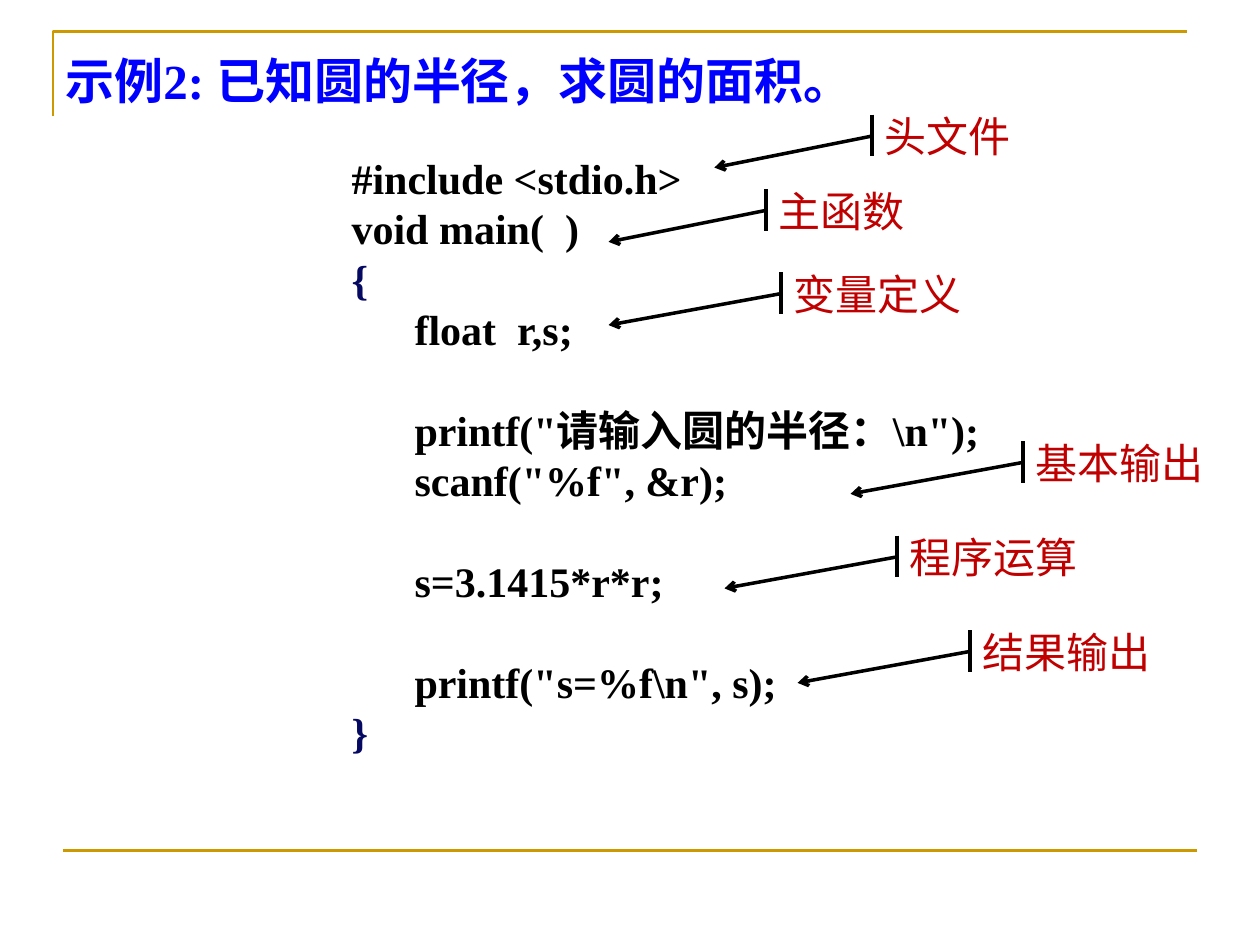
from dataclasses import dataclass

from lxml.etree import SubElement
from pptx import Presentation
from pptx.dml.color import RGBColor as RGB
from pptx.enum.shapes import MSO_CONNECTOR as Conn
from pptx.enum.text import MSO_ANCHOR as Anchor, MSO_AUTO_SIZE as AutoSize, PP_ALIGN as Align
from pptx.oxml.ns import qn
from pptx.util import Inches, Pt


@dataclass(frozen=True)
class Theme:
    rule: RGB = RGB(0xCC, 0x99, 0x00)
    title: RGB = RGB(0x00, 0x00, 0xFF)
    code: RGB = RGB(0x00, 0x00, 0x00)
    brace: RGB = RGB(0x05, 0x09, 0x61)
    label: RGB = RGB(0xC0, 0x00, 0x00)
    code_font: str = "Times New Roman"
    label_font: str = "Arial"
    title_size: float = 28
    text_size: float = 24
    line_pitch: float = 28.8
    rule_width: float = 1.5
    arrow_width: float = 2


T = Theme()

CODE = [
    ("#include <stdio.h>", 0, 0),
    ("void main(  )", 0, 0),
    ("{", 0, 0),
    ("float  r,s;", 1, 0),
    ('printf("请输入圆的半径：\\n");', 1, 1),
    ('scanf("%f", &r);', 1, 0),
    ("s=3.1415*r*r;", 1, 1),
    ('printf("s=%f\\n", s);', 1, 1),
    ("}", 0, 0),
]

CALLOUTS = [
    ("头文件", 6.92, 0.83, 5.67),
    ("主函数", 6.08, 1.42, 4.83),
    ("变量定义", 6.2, 2.08, 4.83),
    ("基本输出", 8.12, 3.42, 6.75),
    ("程序运算", 7.12, 4.17, 5.75),
    ("结果输出", 7.7, 4.92, 6.33),
]


def place(sp, left, top, width, height):
    sp.left, sp.top = Inches(left), Inches(top)
    sp.width, sp.height = Inches(width), Inches(height)


def format_runs(p, font, size, color, bold=False):
    p.alignment = Align.LEFT
    for r in p.runs:
        r.font.name = font
        r.font.size = Pt(size)
        r.font.color.rgb = color
        r.font.bold = bold


def add_line(shapes, start, end, color, width, arrow=False):
    x1, y1, x2, y2 = (Inches(v) for v in (*start, *end))
    line = shapes.add_connector(Conn.STRAIGHT, x1, y1, x2, y2)
    line.line.color.rgb = color
    line.line.width = Pt(width)
    if arrow:
        SubElement(line.line._get_or_add_ln(), qn("a:tailEnd"), type="arrow")
    SubElement(line._element.spPr, qn("a:effectLst"))


def add_frame(shapes):
    builder = shapes.build_freeform(Inches(0.42), Inches(0.92))
    builder.add_line_segments(
        [(Inches(0.42), Inches(0.25)), (Inches(9.42), Inches(0.25))], close=False)
    sp = builder.convert_to_shape()
    sp.fill.background()
    sp.line.color.rgb = T.rule
    sp.line.width = Pt(T.rule_width)
    sp.shadow.inherit = False
    add_line(shapes, (0.5, 6.75), (9.5, 6.75), T.rule, T.rule_width)


def fill_title(sp, text):
    place(sp, 0.42, 0.35, 8.17, 0.57)
    tf = sp.text_frame
    tf.text = text
    tf.auto_size = AutoSize.NONE
    tf.vertical_anchor = Anchor.MIDDLE
    format_runs(tf.paragraphs[0], T.code_font, T.title_size, T.title, True)


def fill_code(sp, lines):
    place(sp, 2.69, 1.16, 5.59, 4.9)
    tf = sp.text_frame
    tf.text = "\n".join(text for text, _, _ in lines)
    tf.auto_size = AutoSize.NONE
    tf.vertical_anchor = Anchor.TOP
    for p, (text, depth, gap) in zip(tf.paragraphs, lines):
        p.line_spacing = Pt(T.line_pitch)
        p.space_before = Pt(T.line_pitch * gap)
        p.space_after = Pt(0)
        format_runs(p, T.code_font, T.text_size, T.brace if text in "{}" else T.code, True)
        pPr = p._p.get_or_add_pPr()
        pPr.set("marL", str(Inches(0.5 * depth)))
        pPr.set("indent", "0")
        SubElement(pPr, qn("a:buNone"))


def add_callout(shapes, text, x, top, tip_x):
    group = shapes.add_group_shape().shapes
    width = 1.42 if len(text) == 3 else 1.55
    tf = group.add_textbox(Inches(x), Inches(top), Inches(width), Inches(0.5)).text_frame
    tf.word_wrap = True
    tf.text = text
    format_runs(tf.paragraphs[0], T.label_font, T.text_size, T.label)
    add_line(group, (x, top + 0.08), (x, top + 0.41), T.code, T.arrow_width)
    add_line(group, (x, top + 0.25), (tip_x, top + 0.5), T.code, T.arrow_width, arrow=True)


def main():
    prs = Presentation()
    prs.slide_width, prs.slide_height = Inches(10), Inches(7.5)
    s = prs.slides.add_slide(prs.slide_layouts[1])
    add_frame(s.shapes)
    fill_title(s.shapes.title, "示例2: 已知圆的半径，求圆的面积。")
    fill_code(s.placeholders[1], CODE)
    for callout in CALLOUTS:
        add_callout(s.shapes, *callout)
    prs.save("out.pptx")


main()
